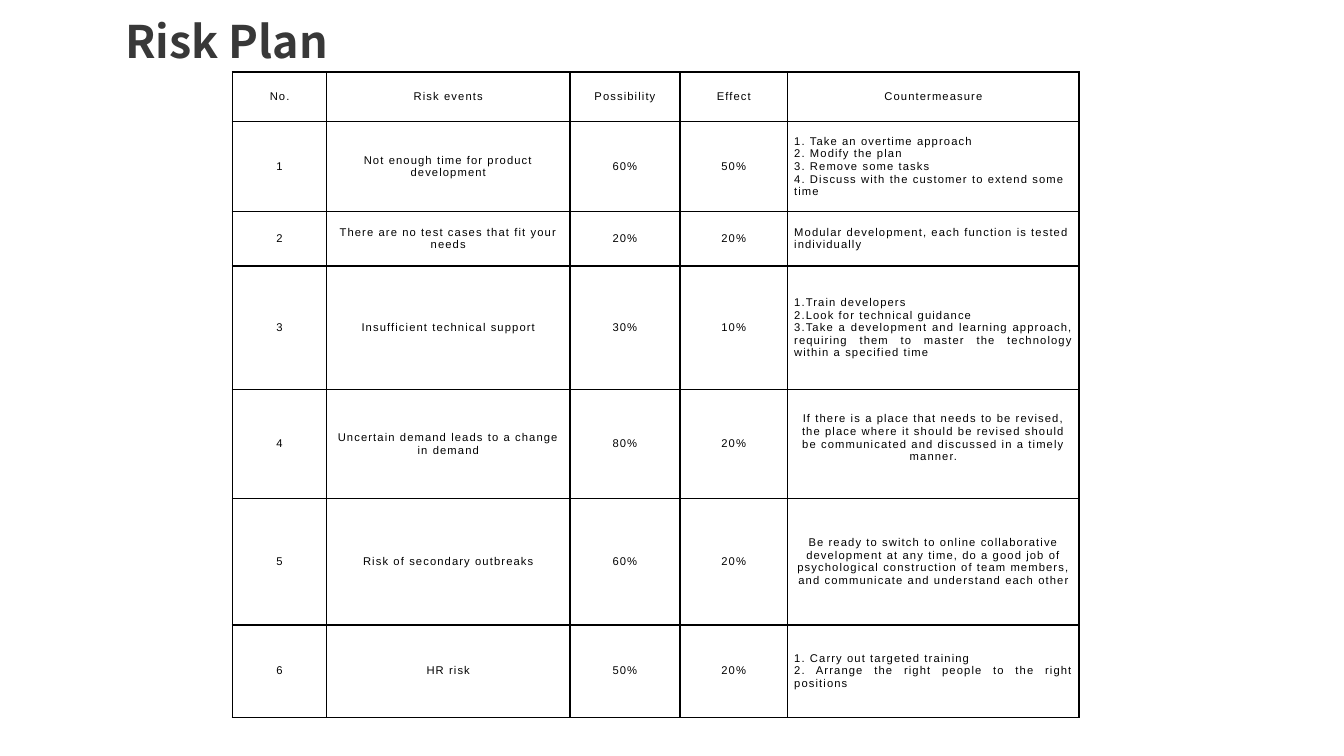
from lxml.etree import SubElement
from pptx import Presentation
from pptx.dml.color import RGBColor as RGB
from pptx.enum.text import MSO_ANCHOR as Anchor, PP_ALIGN as Align
from pptx.oxml.ns import qn
from pptx.util import Inches, Pt

COLORS = {"title": "383838", "text": "000000", "border": "000000"}
WIDTH = Inches(10)
HEIGHT = WIDTH * 9 // 16
STEPS = 100  # grid steps across the slide width
COLUMNS = [7, 18.1, 8.2, 8, 21.7]
ROWS = [3.7, 6.7, 4.05, 9.2, 8.1, 9.4, 6.9]

TITLE_FONT = {"name": "Noto Sans CJK SC", "size": Pt(24), "bold": True}
CELL_FONT = {"name": "Arial", "size": Pt(6), "bold": False}
CELL_FORMAT = {
    "vertical_anchor": Anchor.MIDDLE,
    "margin_left": Inches(0.05),
    "margin_right": Inches(0.05),
    "margin_top": 0,
    "margin_bottom": 0,
}

HEADINGS = ["No.", "Risk events", "Possibility", "Effect", "Countermeasure"]
# event, possibility, effect, countermeasure lines, their alignment
RISKS = [
    ("Not enough time for product development", "60%", "50%",
     ["1. Take an overtime approach", "2. Modify the plan",
      "3. Remove some tasks",
      "4. Discuss with the customer to extend some time"], Align.LEFT),
    ("There are no test cases that fit your needs", "20%", "20%",
     ["Modular development, each function is tested individually"],
     Align.LEFT),
    ("Insufficient technical support", "30%", "10%",
     ["1.Train developers", "2.Look for technical guidance",
      "3.Take a development and learning approach, requiring them to master "
      "the technology within a specified time"], Align.JUSTIFY),
    ("Uncertain demand leads to a change in demand", "80%", "20%",
     ["If there is a place that needs to be revised, the place where it "
      "should be revised should be communicated and discussed in a timely "
      "manner."], Align.CENTER),
    ("Risk of secondary outbreaks", "60%", "20%",
     ["Be ready to switch to online collaborative development at any time, "
      "do a good job of psychological construction of team members, and "
      "communicate and understand each other"], Align.CENTER),
    ("HR risk", "50%", "20%",
     ["1. Carry out targeted training",
      "2. Arrange the right people to the right positions"], Align.JUSTIFY),
]
RAISED_RISK = 4  # its countermeasure sits above the middle of the cell


def grid(steps):
    return round(WIDTH * steps / STEPS)


def apply(target, settings):
    for name, value in settings.items():
        setattr(target, name, value)


def add_run(paragraph, text, font, color):
    run = paragraph.add_run()
    run.text = text
    apply(run.font, font)
    run.font.color.rgb = RGB.from_string(COLORS[color])
    return run


def add_title(slide, text):
    box = slide.shapes.add_textbox(grid(8.35), 0, grid(18), grid(6))
    apply(box.text_frame, {"word_wrap": True, "vertical_anchor": Anchor.MIDDLE})
    add_run(box.text_frame.paragraphs[0], text, TITLE_FONT, "title")


def add_borders(cell):
    properties = cell._tc.get_or_add_tcPr()
    for side in ("lnL", "lnR", "lnT", "lnB"):
        line = SubElement(properties, qn(f"a:{side}"), w=str(Pt(1)))
        fill = SubElement(line, qn("a:solidFill"))
        SubElement(fill, qn("a:srgbClr"), val=COLORS["border"])


def fill_cell(cell, lines, align=Align.CENTER):
    apply(cell, CELL_FORMAT)
    add_borders(cell)
    cell.fill.background()
    frame = cell.text_frame
    for index, line in enumerate(lines):
        paragraph = frame.add_paragraph() if index else frame.paragraphs[0]
        paragraph.alignment = align
        run = add_run(paragraph, line, CELL_FONT, "text")
        run._r.get_or_add_rPr().set("spc", "60")


def add_risk_table(slide):
    table = slide.shapes.add_table(
        len(ROWS), len(COLUMNS), grid(17.3), grid(5.35),
        grid(sum(COLUMNS)), grid(sum(ROWS))).table
    apply(table, {"first_row": False, "horz_banding": False})
    for column, width in zip(table.columns, COLUMNS):
        column.width = grid(width)
    for row, height in zip(table.rows, ROWS):
        row.height = grid(height)

    for column, heading in enumerate(HEADINGS):
        fill_cell(table.cell(0, column), [heading])
    for number, (*facts, measures, align) in enumerate(RISKS, start=1):
        for column, fact in enumerate([str(number), *facts]):
            fill_cell(table.cell(number, column), [fact])
        fill_cell(table.cell(number, len(COLUMNS) - 1), measures, align)
    table.cell(RAISED_RISK, len(COLUMNS) - 1).margin_bottom = Inches(0.09)


def main():
    deck = Presentation()
    apply(deck, {"slide_width": WIDTH, "slide_height": HEIGHT})
    slide = deck.slides.add_slide(deck.slide_layouts[6])
    add_title(slide, "Risk Plan")
    add_risk_table(slide)
    deck.save("out.pptx")


if __name__ == "__main__":
    main()
